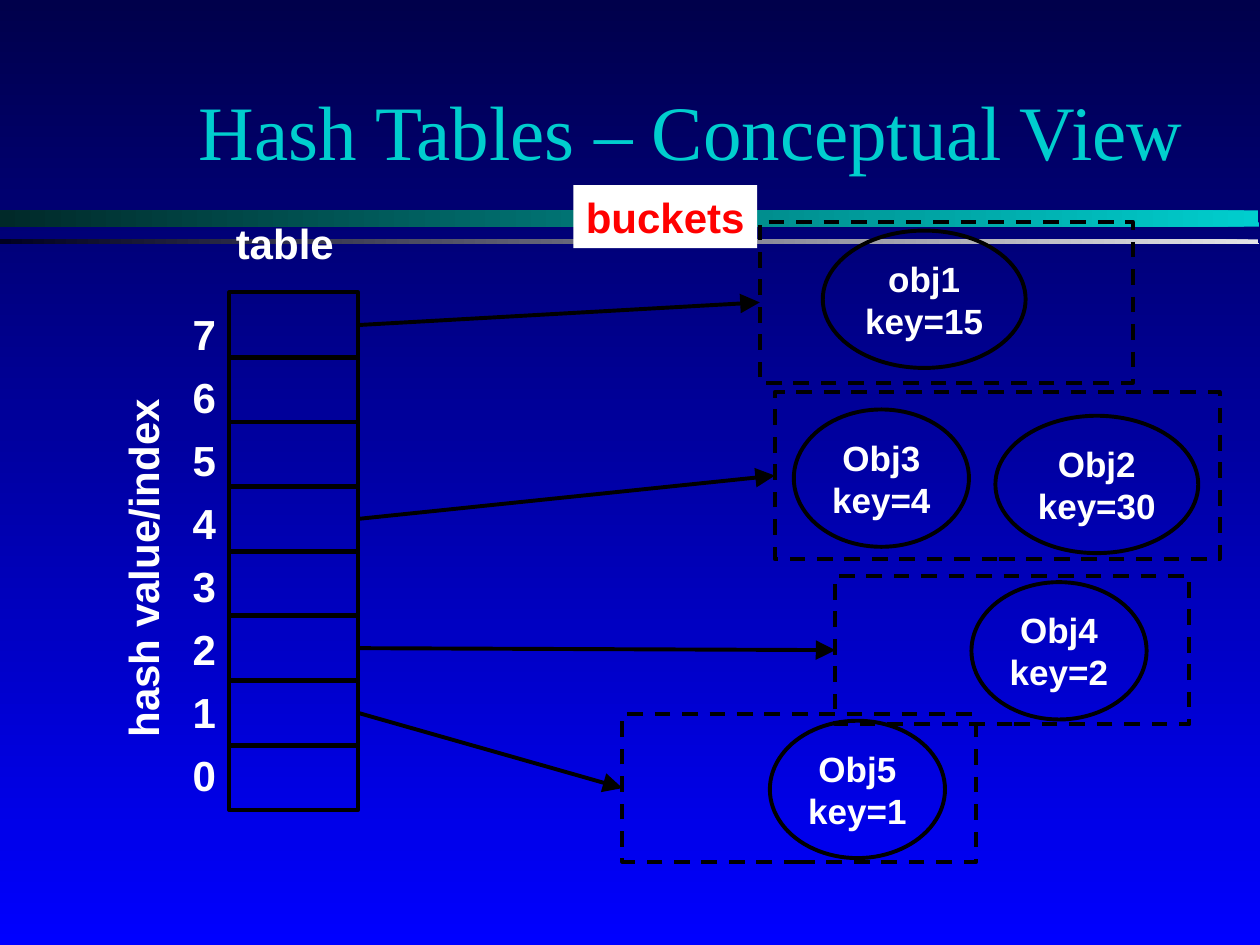
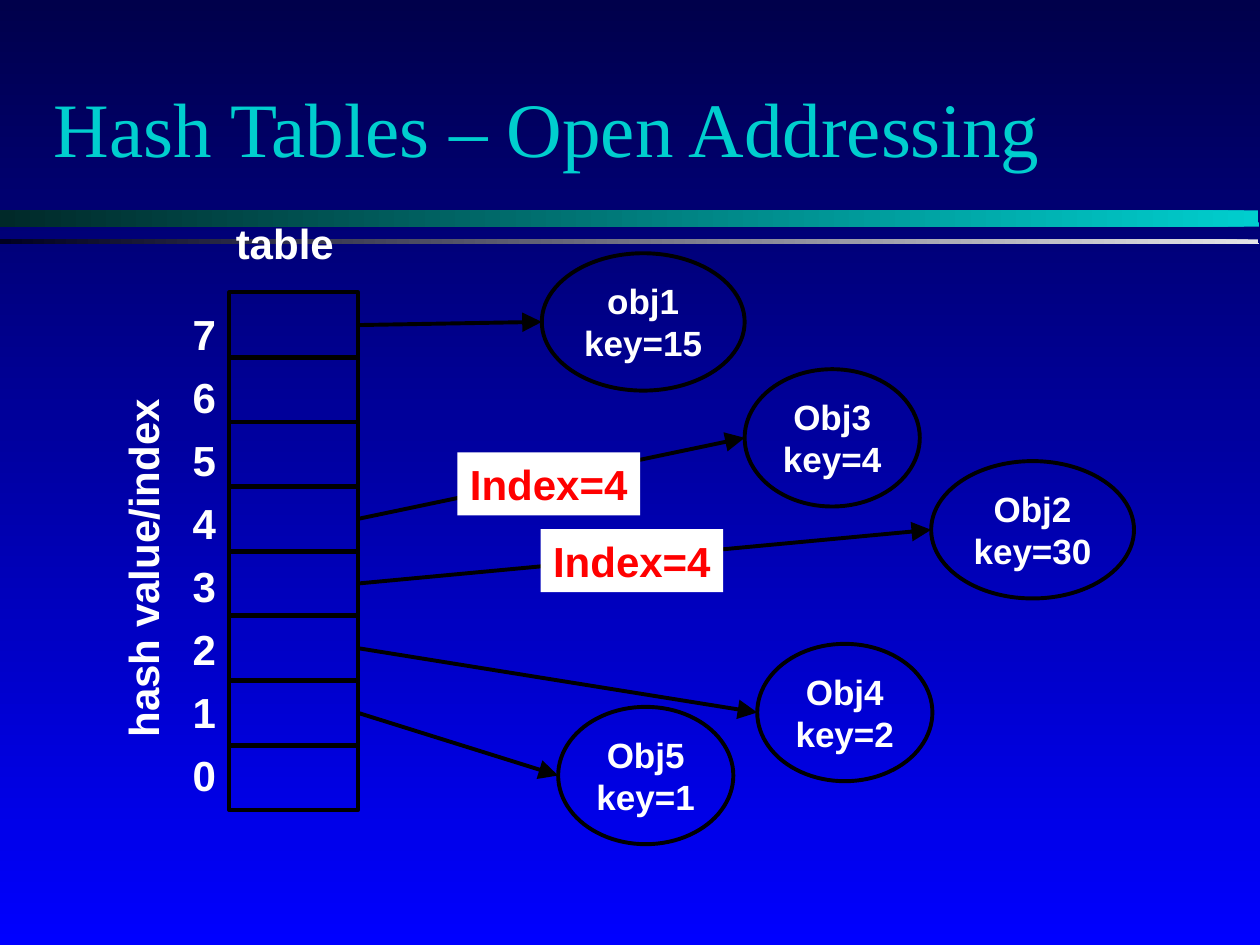
import dataclasses
import typing

import lxml.etree
import pptx
import pptx.dml.color
import pptx.enum.dml
import pptx.enum.shapes
import pptx.enum.text
import pptx.oxml.ns
import pptx.util

Inches = pptx.util.Inches
RGBColor = pptx.dml.color.RGBColor
Shapes = pptx.enum.shapes.MSO_SHAPE
Align = pptx.enum.text.PP_ALIGN
Anchor = pptx.enum.text.MSO_ANCHOR

# Shared colours and fonts
NAVY = RGBColor(0x00, 0x00, 0x4B)
BLUE = RGBColor(0x00, 0x00, 0xFF)
CYAN = RGBColor(0x00, 0xCE, 0xCE)
DARK_TEAL = RGBColor(0x00, 0x29, 0x29)
SILVER = RGBColor(0xE4, 0xE4, 0xE7)
MIDNIGHT = RGBColor(0x00, 0x00, 0x20)
BLACK = RGBColor(0x00, 0x00, 0x00)
WHITE = RGBColor(0xFF, 0xFF, 0xFF)
RED = RGBColor(0xFF, 0x00, 0x00)
TITLE_FONT = "Times New Roman"
BODY_FONT = "Arial"
LINE_WIDTH = pptx.util.Pt(2.25)

# Hash table column
ROW_COUNT = 8
CELL_LEFT, CELL_TOP = 1.82, 2.32
CELL_WIDTH, CELL_HEIGHT = 1.02, 0.52
CELL_PITCH = 3.59 / (ROW_COUNT - 1)

# Ellipses that hold objects
NARROW, WIDE, OBJECT_HEIGHT = 1.39, 1.61, 1.09


@dataclasses.dataclass(frozen=True)
class Area:
    left: float
    top: float
    width: float
    height: float

    def lengths(self) -> tuple:
        return tuple(Inches(value) for value in dataclasses.astuple(self))


@dataclasses.dataclass(frozen=True)
class StoredObject:
    name: str
    key: int
    left: float
    top: float
    width: float
    index: typing.Optional[int] = None  # table row that points straight at it


@dataclasses.dataclass(frozen=True)
class Bucket:
    index: int
    area: Area


@dataclasses.dataclass(frozen=True)
class Tag:
    text: str
    area: Area


@dataclasses.dataclass(frozen=True)
class HashPage:
    title: str
    title_area: Area
    objects: tuple
    buckets: tuple
    tags: tuple


PAGES = (
    HashPage(
        "Hash Tables – Conceptual View",
        Area(1.48, 0.23, 8.52, 1.6),
        objects=(
            StoredObject("Obj5", 1, 6.11, 5.72, NARROW),
            StoredObject("obj1", 15, 6.53, 1.83, WIDE),
            StoredObject("Obj4", 2, 7.71, 4.62, NARROW),
            StoredObject("Obj2", 30, 7.9, 3.3, WIDE),
            StoredObject("Obj3", 4, 6.3, 3.25, NARROW),
        ),
        buckets=(
            Bucket(7, Area(6.03, 1.76, 2.96, 1.28)),
            Bucket(4, Area(6.15, 3.11, 3.53, 1.33)),
            Bucket(2, Area(6.63, 4.57, 2.81, 1.18)),
            Bucket(1, Area(4.94, 5.67, 2.81, 1.17)),
        ),
        tags=(Tag("buckets", Area(4.55, 1.47, 1.46, 0.5)),),
    ),
    HashPage(
        "Hash Tables – Open Addressing",
        Area(0.33, 0.38, 8.5, 1.25),
        objects=(
            StoredObject("Obj5", 1, 4.43, 5.61, NARROW, index=1),
            StoredObject("obj1", 15, 4.3, 2.01, WIDE, index=7),
            StoredObject("Obj4", 2, 6.01, 5.11, NARROW, index=2),
            StoredObject("Obj2", 30, 7.39, 3.66, WIDE, index=3),
            StoredObject("Obj3", 4, 5.91, 2.93, NARROW, index=4),
        ),
        buckets=(),
        tags=(
            Tag("Index=4", Area(3.63, 3.59, 1.45, 0.5)),
            Tag("Index=4", Area(4.29, 4.2, 1.45, 0.5)),
        ),
    ),
)


def write_text(box, text: str, *, size: float = 24, color: RGBColor = WHITE,
               font: str = BODY_FONT, bold: bool = True, align=Align.CENTER,
               anchor=Anchor.TOP, wrap: bool = False, grow: bool = True,
               line_spacing: typing.Optional[float] = None) -> None:
    """Fill a box with one paragraph for each line of text."""
    frame = box.text_frame
    frame.word_wrap = wrap
    frame.vertical_anchor = anchor
    sizing = pptx.enum.text.MSO_AUTO_SIZE
    frame.auto_size = sizing.SHAPE_TO_FIT_TEXT if grow else sizing.NONE
    for number, line in enumerate(text.split("\n")):
        para = frame.add_paragraph() if number else frame.paragraphs[0]
        para.alignment = align
        if line_spacing:
            para.line_spacing = line_spacing
        span = para.add_run()
        span.text = line
        span.font.size = pptx.util.Pt(size)
        span.font.name = font
        span.font.bold = bold
        span.font.color.rgb = color


def add_textbox(page, text: str, area: Area, **text_format):
    box = page.shapes.add_textbox(*area.lengths())
    write_text(box, text, **text_format)
    return box


def set_gradient(fill, start: RGBColor, end: RGBColor, angle: float) -> None:
    fill.gradient()
    fill.gradient_angle = angle
    for stop, color in zip(fill.gradient_stops, (start, end)):
        stop.color.rgb = color


def add_plain_shape(page, kind, area: Area):
    """Add a preset shape with no shadow, fill or line."""
    shape = page.shapes.add_shape(kind, *area.lengths())
    shape.shadow.inherit = False
    shape.fill.background()
    shape.line.fill.background()
    return shape


def add_outline(page, kind, area: Area, dashed: bool = False):
    shape = add_plain_shape(page, kind, area)
    shape.line.color.rgb = BLACK
    shape.line.width = LINE_WIDTH
    if dashed:
        shape.line.dash_style = pptx.enum.dml.MSO_LINE.DASH
    return shape


def add_arrow(page, cell, left: float, middle: float, target=None) -> None:
    """Point from a cell's right side to a place, or join a rectangle there."""
    arrow = page.shapes.add_connector(
        pptx.enum.shapes.MSO_CONNECTOR.STRAIGHT,
        cell.left + cell.width, cell.top + cell.height // 2,
        Inches(left), Inches(middle))
    arrow.begin_connect(cell, 3)
    if target is not None:
        arrow.end_connect(target, 1)
    arrow.line.color.rgb = BLACK
    arrow.line.width = LINE_WIDTH
    qn = pptx.oxml.ns.qn
    properties = arrow.element.spPr
    lxml.etree.SubElement(properties.find(qn("a:ln")), qn("a:tailEnd"),
                          type="triangle", w="lg", len="lg")
    lxml.etree.SubElement(properties, qn("a:effectLst"))


def add_band(page, area: Area, start: RGBColor, end: RGBColor, rounding: float) -> None:
    band = add_plain_shape(page, Shapes.ROUNDED_RECTANGLE, area)
    band.adjustments[0] = rounding
    set_gradient(band.fill, start, end, 180)


def add_page(deck, title: str, title_area: Area):
    """Add a page with the shared background, bands and title."""
    page = deck.slides.add_slide(deck.slide_layouts[6])
    set_gradient(page.background.fill, NAVY, BLUE, 270)
    add_band(page, Area(0, 1.67, 9.99, 0.13), CYAN, DARK_TEAL, 0.01)
    add_band(page, Area(0, 1.9, 9.99, 0.04), SILVER, MIDNIGHT, 0.04)
    add_textbox(page, title, title_area, size=44, color=CYAN, font=TITLE_FONT,
                bold=False, align=Align.LEFT, anchor=Anchor.MIDDLE,
                wrap=True, grow=False)
    return page


def add_hash_table(page) -> dict:
    """Draw the column with its labels and return the cells by index."""
    indexes = range(ROW_COUNT - 1, -1, -1)
    cells = {}
    for row, index in enumerate(indexes):
        area = Area(CELL_LEFT, CELL_TOP + row * CELL_PITCH, CELL_WIDTH, CELL_HEIGHT)
        cells[index] = add_outline(page, Shapes.FLOWCHART_PROCESS, area)
    add_textbox(page, "\n".join(map(str, indexes)), Area(1.43, 2.3, 0.36, 4.1),
                wrap=True, line_spacing=1.25)
    add_textbox(page, "table", Area(1.77, 1.68, 0.98, 0.5))
    axis_label = add_textbox(page, "hash value/index", Area(-0.31, 4.26, 2.88, 0.5),
                             grow=False)
    axis_label.rotation = 270
    return cells


def add_object(page, cells: dict, item: StoredObject) -> None:
    area = Area(item.left, item.top, item.width, OBJECT_HEIGHT)
    ellipse = add_outline(page, Shapes.FLOWCHART_CONNECTOR, area)
    write_text(ellipse, f"{item.name}\nkey={item.key}", size=20, anchor=Anchor.MIDDLE)
    if item.index is not None:
        add_arrow(page, cells[item.index], item.left, item.top + OBJECT_HEIGHT / 2)


def add_bucket(page, cells: dict, bucket: Bucket) -> None:
    area = bucket.area
    frame = add_outline(page, Shapes.RECTANGLE, area, dashed=True)
    add_arrow(page, cells[bucket.index], area.left, area.top + area.height / 2, frame)


def add_tag(page, tag: Tag) -> None:
    box = add_plain_shape(page, Shapes.RECTANGLE, tag.area)
    box.fill.solid()
    box.fill.fore_color.rgb = WHITE
    write_text(box, tag.text, color=RED)


def main() -> None:
    deck = pptx.Presentation()
    deck.slide_width, deck.slide_height = Inches(10), Inches(7.5)
    for content in PAGES:
        page = add_page(deck, content.title, content.title_area)
        cells = add_hash_table(page)
        for item in content.objects:
            add_object(page, cells, item)
        for bucket in content.buckets:
            add_bucket(page, cells, bucket)
        # Tags cover the arrows they name
        for tag in content.tags:
            add_tag(page, tag)
    deck.save("out.pptx")


if __name__ == "__main__":
    main()
